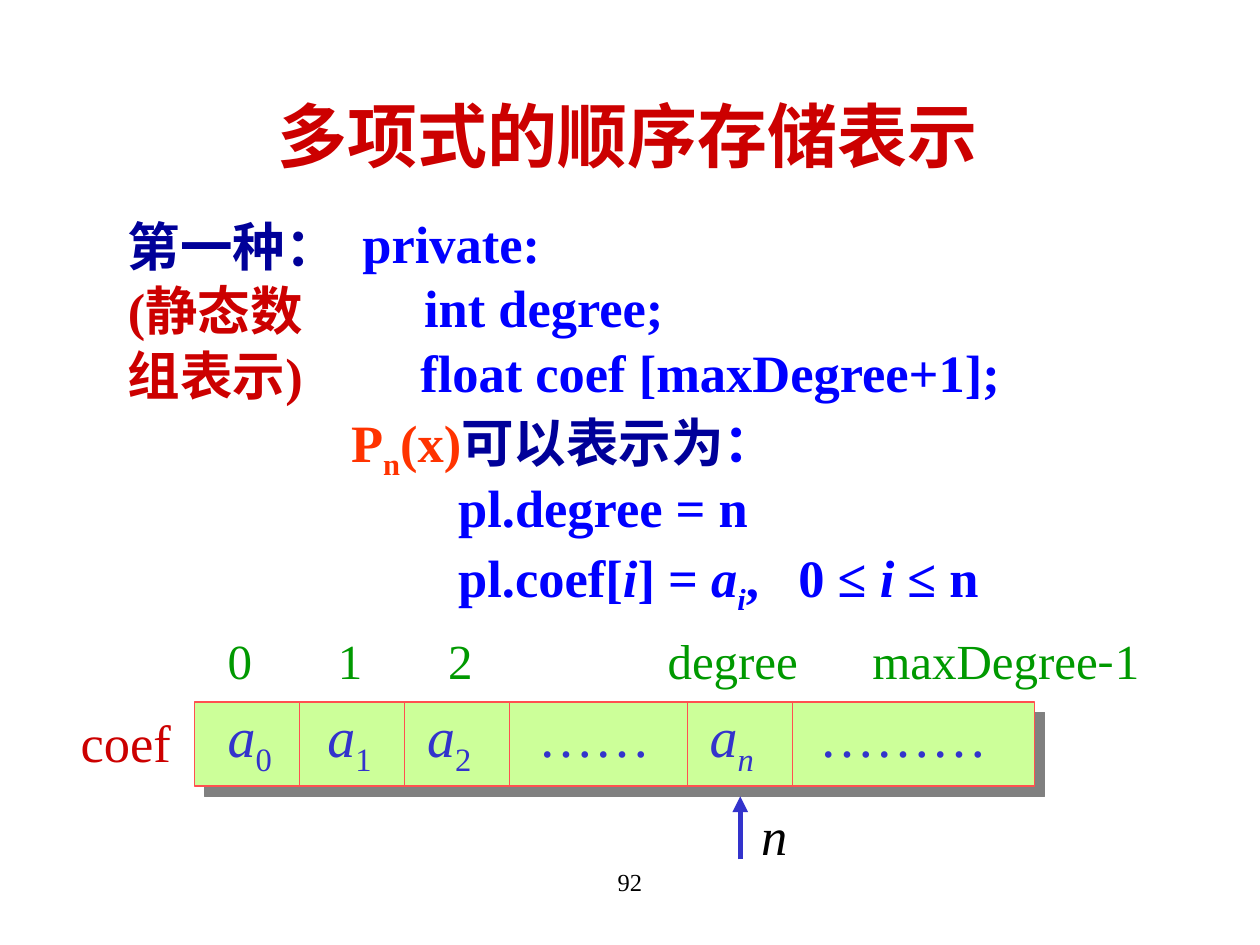
from itertools import accumulate

from lxml import etree
from pptx import Presentation
from pptx.dml.color import RGBColor
from pptx.enum.shapes import MSO_CONNECTOR, MSO_SHAPE
from pptx.enum.text import MSO_ANCHOR, MSO_AUTO_SIZE, PP_ALIGN
from pptx.oxml.ns import qn
from pptx.util import Inches, Pt

LINE, RECT = MSO_CONNECTOR.STRAIGHT, MSO_SHAPE.RECTANGLE
LEFT, MID = PP_ALIGN.LEFT, PP_ALIGN.CENTER
FONT, SANS = "Times New Roman", "Noto Sans CJK SC"
HUES = {"red": "CC0000", "navy": "000099", "blue": "0000FF", "flame": "FF3300",
        "green": "009900", "ink": "3333CC", "black": "000000",
        "lime": "CCFF99", "rim": "FF5050", "shade": "808080"}
CELLS = (10, 10, 10, 17, 10, 23)  # widths of the array cells


def grid(*spots):
    """Turn counts of a 120 by 90 grid into lengths."""
    return [Inches(spot / 12) for spot in spots]


def hue(name):
    return RGBColor.from_string(HUES[name])


def add(node, tag, **attrs):
    return etree.SubElement(node, qn(tag), attrs)


def write(para, runs, size, bold=False, indent=0, align=LEFT):
    """Fill a paragraph with (text, colour, marks).

    Marks: i italic, s subscript, h sans, w wide gap after.
    """
    props = para._p.get_or_add_pPr()
    props.set("marL", str(int(Inches(indent))))
    props.set("indent", "0")
    add(props, "a:buNone")
    para.alignment = align
    for text, tint, marks in runs:
        run = para.add_run()
        run.text = text
        look = {"name": SANS if "h" in marks else FONT, "size": Pt(size),
                "bold": bold, "italic": "i" in marks}
        for key, value in look.items():
            setattr(run.font, key, value)
        run.font.color.rgb = hue(tint)
        rpr = run._r.get_or_add_rPr()
        add(rpr, "a:ea", typeface=SANS)
        if "s" in marks:
            rpr.set("baseline", "-25000")
        if "w" in marks:
            rpr.set("spc", "1500")


def label(slide, box, runs, size, **style):
    frame = slide.shapes.add_textbox(*grid(*box)).text_frame
    frame.word_wrap = True
    write(frame.paragraphs[0], runs, size, **style)


def rule(slide, ends, tint, width):
    line = slide.shapes.add_connector(LINE, *grid(*ends))
    line.line.color.rgb = hue(tint)
    line.line.width = Pt(width)
    add(line._element.spPr, "a:effectLst")
    return line


def place(holder, box, anchor):
    holder.left, holder.top, holder.width, holder.height = grid(*box)
    frame = holder.text_frame
    look = {"word_wrap": True, "auto_size": MSO_AUTO_SIZE.NONE, "vertical_anchor": anchor}
    for key, value in look.items():
        setattr(frame, key, value)
    return frame


def head(slide, box):
    frame = place(slide.shapes.title, box, MSO_ANCHOR.MIDDLE)
    write(frame.paragraphs[0], [("多项式的顺序存储表示", "red", "")], 40, True, align=MID)


def fill(frame, rows):
    """Write rows of (indent, space before, runs) on lines of fixed height."""
    for num, (indent, gap, runs) in enumerate(rows):
        para = frame.add_paragraph() if num else frame.paragraphs[0]
        write(para, runs, 30, True, indent)
        para.line_spacing = Pt(31)
        para.space_before = Pt(gap)


def body(slide, box):
    """Set the side note at the left and the code in the body at its right."""
    x, y, wide, high = box
    side = slide.shapes.add_textbox(*grid(x, y + 0.3, 21, 11))
    fill(place(side, (x, y + 0.3, 21, 11), MSO_ANCHOR.TOP), [
        (0, 0, [("第一种：", "navy", "")]),
        (0, 6, [("(静态数", "red", "")]),
        (0, 6, [("组表示)", "red", "")]),
    ])
    code = place(slide.placeholders[1], (x + 21, y, wide - 21, high), MSO_ANCHOR.TOP)
    fill(code, [
        (0.11, 0, [("private:", "blue", "")]),
        (0.6, 6, [("int degree;", "blue", "")]),
        (0.57, 6, [("float coef [maxDegree+1];", "blue", "")]),
        (0.02, 13.7, [("P", "flame", ""), ("n", "flame", "s"), ("(x)", "flame", ""),
                      ("可以表示为", "navy", ""), ("：", "blue", "")]),
        (0.87, 1.4, [("pl.degree = n", "blue", "")]),
        (0.87, 13.7, [("pl.coef[", "blue", ""), ("i", "blue", "i"), ("] = ", "blue", ""),
                      ("a", "blue", "i"), ("i", "blue", "is"), (",", "blue", "w"),
                      (" 0 ≤ ", "blue", ""), ("i ", "blue", "i"), ("≤ n", "blue", "")]),
    ])


def strip(slide, box):
    """Draw the array with its cells, index labels, name and pointer."""
    x, y, wide, high = box
    bar = slide.shapes.add_shape(RECT, *grid(*box))
    bar.shadow.inherit = False
    bar.fill.solid()
    bar.fill.fore_color.rgb = hue("lime")
    bar.line.color.rgb = hue("rim")
    bar.line.width = Pt(0.75)
    cast = add(bar._element.spPr.find(qn("a:effectLst")), "a:outerShdw",
               dist=str(int(Pt(8.5))), dir="2700000", algn="ctr", rotWithShape="0")
    add(cast, "a:srgbClr", val=HUES["shade"])

    edges = list(accumulate(CELLS))
    for edge in edges[:-1]:
        rule(slide, (x + edge, y, x + edge, y + high), "rim", 0.75)

    terms = [(2, "a", "0", "s"), (11.5, "a", "1", "s"), (21, "a", "2", "s"),
             (31.6, "……", "", ""), (47.9, "a", "n", "is"), (58.4, "………", "", "")]
    for (left, text, sub, marks), cell in zip(terms, CELLS):
        runs = [(text, "ink", "i" if sub else "")]
        if sub:
            runs.append((sub, "ink", marks))
        label(slide, (x + left, y - 0.6, cell, 7.6), runs, 32)

    marks = [(2, 8, "0"), (12.5, 8, "1"), (23, 8, "2"), (43.9, 17, "degree"),
             (63.4, 30, "maxDegree")]
    for left, room, text in marks:
        runs = [(text, "green", "")]
        if text == "maxDegree":
            runs += [("-", "green", "h"), ("1", "green", "")]
        label(slide, (x + left, y - 7.4, room, 6.8), runs, 28)
    label(slide, (x - 12, y + 0.2, 12, 7.2), [("coef", "red", "")], 30)

    mid = x + edges[4] - CELLS[4] / 2
    arrow = rule(slide, (mid, y + 15, mid, y + 9), "ink", 3)
    add(arrow.line._get_or_add_ln(), "a:tailEnd", type="triangle")
    label(slide, (mid + 0.8, y + 9, 5.2, 7.2), [("n", "black", "i")], 30)


def main():
    deck = Presentation()
    deck.slide_width, deck.slide_height = grid(120, 90)
    slide = deck.slides.add_slide(deck.slide_layouts[1])
    head(slide, (20.75, 8.3, 78, 9))
    body(slide, (11, 20.3, 102, 47))
    strip(slide, (18.5, 66.85, 80, 8))
    label(slide, (41, 82, 38, 6), [("92", "black", "")], 14, align=MID)
    deck.save("out.pptx")


if __name__ == "__main__":
    main()
